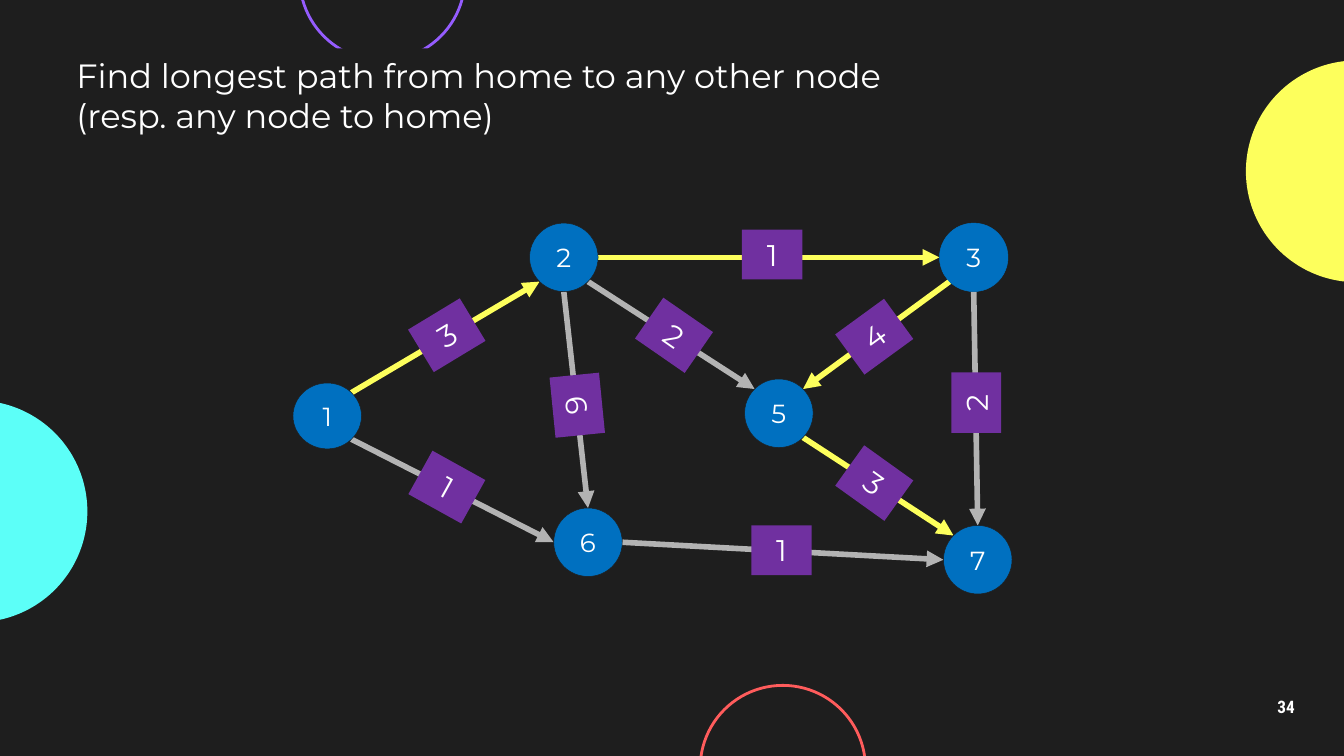
from math import sqrt

from lxml.etree import SubElement
from pptx import Presentation
from pptx.dml.color import RGBColor
from pptx.enum.shapes import MSO_CONNECTOR, MSO_SHAPE
from pptx.enum.text import MSO_ANCHOR, MSO_AUTO_SIZE, PP_ALIGN
from pptx.oxml.ns import qn
from pptx.util import Pt

PX = 9144  # 100 px to the inch
DARK, WHITE, GREY = "1E1E1E", "FFFFFF", "B3B3B3"
BLUE, PURPLE, YELLOW = "0070C0", "7030A0", "FDFF5C"


def add_shape(kind, left, top, width, height, fill=None, line=None, weight=1.5):
    shape = page.shapes.add_shape(
        kind, *(value * PX for value in (left, top, width, height)))
    shape.shadow.inherit = False
    if fill:
        shape.fill.solid()
        shape.fill.fore_color.rgb = RGBColor.from_string(fill)
    else:
        shape.fill.background()
    if line:
        shape.line.color.rgb = RGBColor.from_string(line)
        shape.line.width = Pt(weight)
    else:
        shape.line.fill.background()
    return shape


def write_text(box, text, size, font="Montserrat", bold=False, spacing=None,
               align=PP_ALIGN.CENTER, anchor=MSO_ANCHOR.MIDDLE, grow=False):
    frame = box.text_frame
    frame.word_wrap = True
    frame.vertical_anchor = anchor
    if grow:
        frame.auto_size = MSO_AUTO_SIZE.SHAPE_TO_FIT_TEXT
    para = frame.paragraphs[0]
    para.alignment = align
    if spacing:
        para.line_spacing = spacing
    span = para.add_run()
    span.text = text
    span.font.name = font
    span.font.size = Pt(size)
    span.font.bold = bold
    span.font.color.rgb = RGBColor.from_string(WHITE)


# Widescreen deck, 16 to 9
deck = Presentation()
deck.slide_width = 1000 * PX
deck.slide_height = deck.slide_width * 9 // 16
page = deck.slides.add_slide(deck.slide_layouts[6])
page.background.fill.solid()
page.background.fill.fore_color.rgb = RGBColor.from_string(DARK)

# Decorative circles at the slide's edges
for left, top, size, fill, line in [
    (-100, 298, 165, "5CFFF8", None),
    (927, 45, 165, YELLOW, None),
    (223, -78, 123, None, "955CFF"),
    (521, 510, 123, None, "FF5C5C"),
]:
    add_shape(MSO_SHAPE.OVAL, left, top, size, size, fill, line)

# Title
title = add_shape(MSO_SHAPE.RECTANGLE, 47, 36, 660, 71, DARK)
write_text(title, "Find longest path from home to any other node "
           "(resp. any node to home)", 18,
           align=PP_ALIGN.LEFT, anchor=MSO_ANCHOR.TOP, grow=True)

# Page number
number = page.shapes.add_textbox(927 * PX, 510 * PX, 60 * PX, 34 * PX)
number.text_frame.margin_top = number.text_frame.margin_bottom = 10 * PX
write_text(number, "34", 9.2, font="Roboto Condensed", bold=True, spacing=0.9)

# Graph: node -> left, top, width, height
nodes = {
    "1": (218, 285, 51, 49),
    "2": (394, 166, 51, 51),
    "3": (699, 166, 51, 51),
    "5": (554, 282, 51, 51),
    "6": (412, 378, 51, 51),
    "7": (702, 391, 51, 51),
}
# Start, its side, end, its side, on the path, weight, label left, top, turn
edges = [
    ("1", "SE", "6", "W", False, "1", 310, 344, 29),
    ("2", "S", "6", "N", False, "6", 407, 283, 84.3),
    ("2", "SE", "5", "NW", False, "2", 479, 231, 34.7),
    ("2", "E", "3", "W", True, "1", 552, 171, 0),
    ("3", "SW", "5", "NE", True, "4", 628, 232, 323.9),
    ("3", "S", "7", "N", False, "2", 704, 281, 270),
    ("6", "E", "7", "W", False, "1", 559, 391, 0),
    ("5", "SE", "7", "NW", True, "3", 628, 341, 35.6),
    ("1", "NE", "2", "SW", True, "3", 310, 231, 328.8),
]

# Arrows run between compass points on the node outlines
for start, start_side, end, end_side, on_path, *label in edges:
    points = []
    for node, side in ((start, start_side), (end, end_side)):
        left, top, width, height = nodes[node]
        reach = 0.5 / sqrt(len(side))
        across = ("E" in side) - ("W" in side)
        down = ("S" in side) - ("N" in side)
        points += [round((left + width * (0.5 + reach * across)) * PX),
                   round((top + height * (0.5 + reach * down)) * PX)]
    arrow = page.shapes.add_connector(MSO_CONNECTOR.STRAIGHT, *points)
    arrow.line.color.rgb = RGBColor.from_string(YELLOW if on_path else GREY)
    arrow.line.width = Pt(3)
    outline = arrow._element.spPr.find(qn("a:ln"))
    SubElement(outline, qn("a:tailEnd"), type="triangle")
    SubElement(arrow._element.spPr, qn("a:effectLst"))

# Nodes
for name, place in nodes.items():
    rim = BLUE if name == "3" else DARK
    circle = add_shape(MSO_SHAPE.OVAL, *place, BLUE, rim, 0.25)
    write_text(circle, name, 14)

# Edge weights
for *ends, weight, left, top, turn in edges:
    label = add_shape(MSO_SHAPE.RECTANGLE, left, top, 45, 37, PURPLE)
    label.rotation = turn
    write_text(label, weight, 16, anchor=MSO_ANCHOR.TOP, grow=True)

deck.save("out.pptx")
